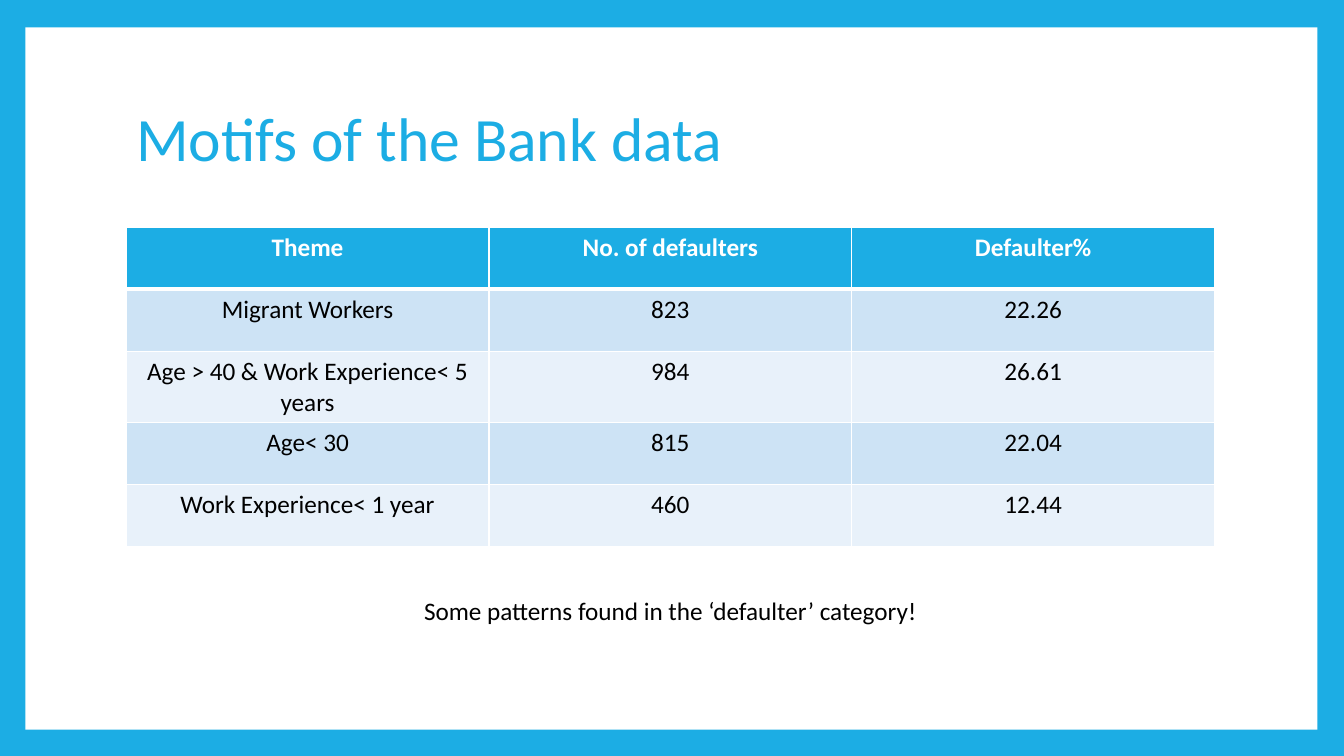
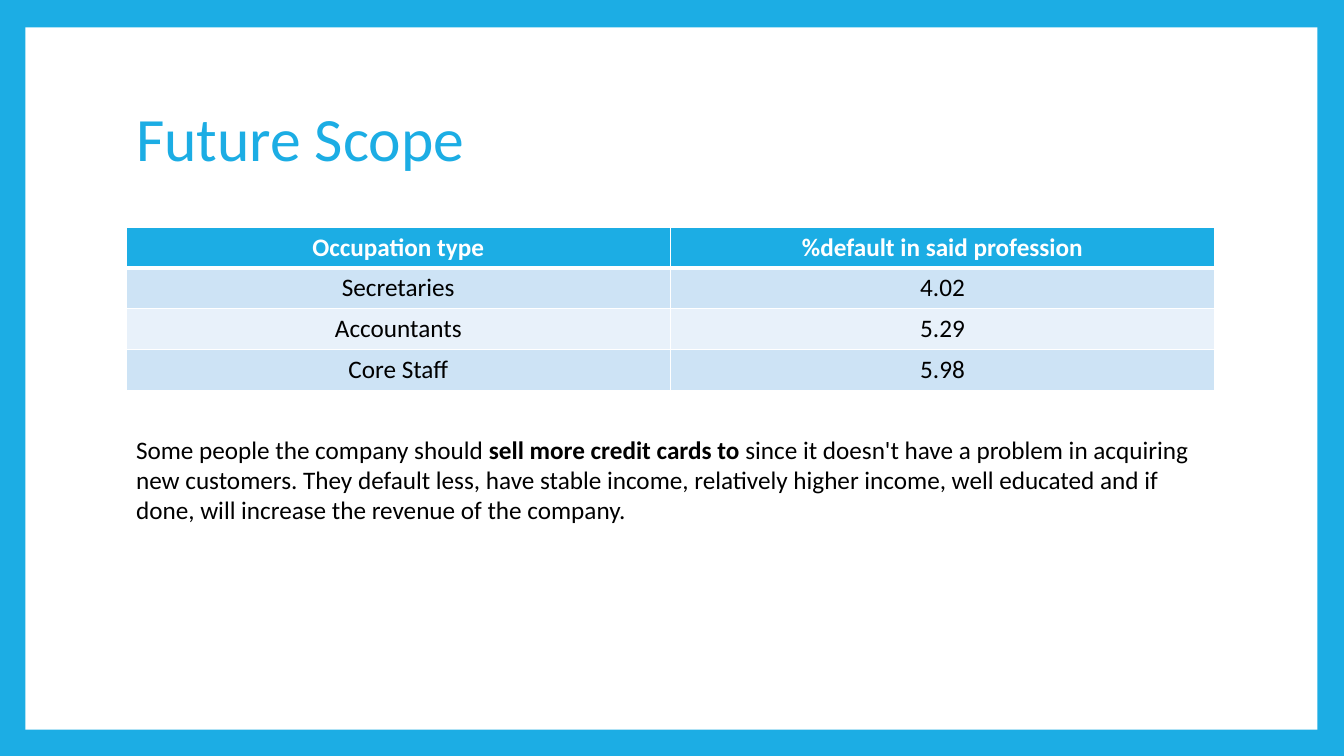
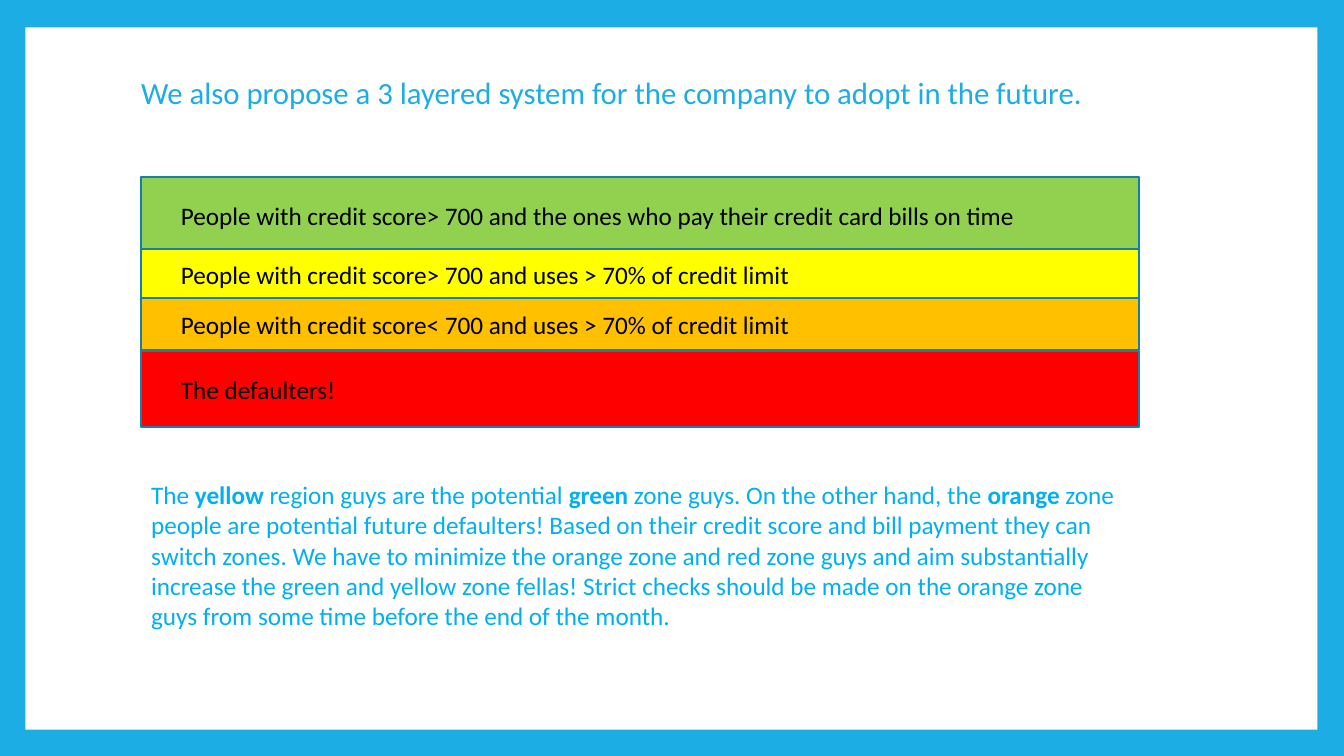
from dataclasses import dataclass

from lxml import etree
from pptx import Presentation
from pptx.dml.color import RGBColor
from pptx.enum.shapes import MSO_SHAPE
from pptx.enum.text import MSO_ANCHOR, PP_ALIGN
from pptx.oxml.ns import qn
from pptx.util import Cm, Pt

RECTANGLE = MSO_SHAPE.RECTANGLE
TOP, MIDDLE = MSO_ANCHOR.TOP, MSO_ANCHOR.MIDDLE
LEFT, CENTER = PP_ALIGN.LEFT, PP_ALIGN.CENTER
BLANK_LAYOUT = 6


@dataclass(frozen=True)
class Theme:
    font: str = "Calibri"
    accent: str = "1CADE4"
    paper: str = "FFFFFF"
    ink: str = "000000"
    bands: tuple = ("CDE3F5", "E8F1FA")
    layer_line: str = "1580A9"
    green: str = "92D050"
    yellow: str = "FFFF00"
    orange: str = "FFC000"
    red: str = "FF0000"
    zone_text: str = "00B0F0"
    title_size: int = 44
    lead_size: int = 22
    body_size: int = 18
    cell_line: int = 1
    header_line: int = 3
    layer_line_width: float = 1.5


@dataclass(frozen=True)
class Box:
    left: float
    top: float
    width: float
    height: float

    def lengths(self):
        return Cm(self.left), Cm(self.top), Cm(self.width), Cm(self.height)


THEME = Theme()
FRAME = Box(0.64, 0.69, 32.56, 17.7)
TITLE = Box(3.18, 1.7, 27.43, 3.76)


def write(text_frame, segments, size, color, alignment=LEFT, bold=False):
    """Write one paragraph; every second segment is emphasised."""
    paragraph = text_frame.paragraphs[0]
    paragraph.alignment = alignment
    for index, segment in enumerate(segments):
        run = paragraph.add_run()
        run.text = segment
        run.font.name = THEME.font
        run.font.size = Pt(size)
        run.font.bold = bold or index % 2 == 1
        run.font.color.rgb = RGBColor.from_string(color)
    return paragraph


def add_text(slide, box, segments, size=THEME.body_size, color=THEME.ink,
             alignment=LEFT, anchor=TOP):
    text_frame = slide.shapes.add_textbox(*box.lengths()).text_frame
    text_frame.word_wrap = True
    text_frame.vertical_anchor = anchor
    return write(text_frame, segments, size, color, alignment)


def add_rectangle(slide, box, fill):
    shape = slide.shapes.add_shape(RECTANGLE, *box.lengths())
    shape.shadow.inherit = False
    shape.fill.solid()
    shape.fill.fore_color.rgb = RGBColor.from_string(fill)
    return shape


def add_framed_slide(presentation):
    """Blue background with a white sheet inside."""
    slide = presentation.slides.add_slide(presentation.slide_layouts[BLANK_LAYOUT])
    background = slide.background.fill
    background.solid()
    background.fore_color.rgb = RGBColor.from_string(THEME.accent)
    add_rectangle(slide, FRAME, THEME.paper).line.fill.background()
    return slide


def set_cell_borders(cell, top, bottom):
    properties = cell._tc.get_or_add_tcPr()
    widths = {"a:lnL": THEME.cell_line, "a:lnR": THEME.cell_line,
              "a:lnT": top, "a:lnB": bottom}
    for index, (tag, width) in enumerate(widths.items()):
        line = etree.Element(qn(tag), w=str(Pt(width)))
        fill = etree.SubElement(line, qn("a:solidFill"))
        etree.SubElement(fill, qn("a:srgbClr"), val=THEME.paper)
        properties.insert(index, line)


def add_banded_table(slide, box, rows):
    """Equal columns and rows, a header row and alternating bands."""
    column_count = len(rows[0])
    table = slide.shapes.add_table(len(rows), column_count, *box.lengths()).table
    table.horz_banding = False
    for column in table.columns:
        column.width = Cm(box.width / column_count)
    for row_index, values in enumerate(rows):
        is_header = row_index == 0
        table.rows[row_index].height = Cm(box.height / len(rows))
        fill = THEME.accent if is_header else THEME.bands[(row_index - 1) % 2]
        top = THEME.header_line if row_index == 1 else THEME.cell_line
        bottom = THEME.header_line if is_header else THEME.cell_line
        for column_index, value in enumerate(values):
            cell = table.cell(row_index, column_index)
            cell.fill.solid()
            cell.fill.fore_color.rgb = RGBColor.from_string(fill)
            write(cell.text_frame, [value], THEME.body_size,
                  THEME.paper if is_header else THEME.ink, CENTER, is_header)
            set_cell_borders(cell, top, bottom)


def add_table_slide(presentation, title, rows, row_height, note, note_top,
                    note_alignment=LEFT):
    """Title, full-width table and a note below it."""
    slide = add_framed_slide(presentation)
    heading = add_text(slide, TITLE, [title], THEME.title_size, THEME.accent,
                       anchor=MIDDLE)
    heading.line_spacing = 0.9
    add_banded_table(
        slide, Box(TITLE.left, 5.72, TITLE.width, row_height * len(rows)), rows)
    add_text(slide, Box(TITLE.left, note_top, TITLE.width, 1.03), note,
             alignment=note_alignment)


def add_layers(slide, box, layers):
    """Coloured bars, each placed by its offset from the top of the box."""
    for offset, height, fill, label in layers:
        bar = add_rectangle(
            slide, Box(box.left, box.top + offset, box.width, height), fill)
        bar.line.color.rgb = RGBColor.from_string(THEME.layer_line)
        bar.line.width = Pt(THEME.layer_line_width)
        text_frame = bar.text_frame
        text_frame.word_wrap = True
        text_frame.vertical_anchor = MIDDLE
        text_frame.margin_left = Cm(1)
        write(text_frame, [label], THEME.body_size, THEME.ink)


def add_layer_slide(presentation, lead, layers, explanation):
    """Lead sentence, stacked layers and an explanation."""
    slide = add_framed_slide(presentation)
    stack = Box(3.56, 4.47, 25.15, 6.3)
    lead_box = Box(stack.left - 0.25, 1.85, TITLE.width, 1.2)
    add_text(slide, lead_box, [lead], THEME.lead_size,
             THEME.accent).line_spacing = 0.9
    add_layers(slide, stack, layers)
    add_text(slide, Box(stack.left, 11.96, stack.width, 4.11), explanation,
             color=THEME.zone_text)


def main():
    presentation = Presentation()
    presentation.slide_width = Cm(33.87)
    presentation.slide_height = Cm(19.05)

    # Patterns among defaulters
    add_table_slide(
        presentation, "Motifs of the Bank data",
        [("Theme", "No. of defaulters", "Defaulter%"),
         ("Migrant Workers", "823", "22.26"),
         ("Age > 40 & Work Experience< 5 years", "984", "26.61"),
         ("Age< 30", "815", "22.04"),
         ("Work Experience< 1 year", "460", "12.44")],
        1.57, ["Some patterns found in the ‘defaulter’ category!"], 14.88, CENTER)

    # Occupations to approach
    add_table_slide(
        presentation, "Future Scope",
        [("Occupation type", "%default in said profession"),
         ("Secretaries", "4.02"),
         ("Accountants", "5.29"),
         ("Core Staff", "5.98")],
        1.03,
        ["Some people the company should ", "sell more credit cards to",
         " since it doesn't have a problem in acquiring new customers. They "
         "default less, have stable income, relatively higher income, well "
         "educated and if done, will increase the revenue of the company."],
        10.82)

    # Layered system
    add_layer_slide(
        presentation,
        "We also propose a 3 layered system for the company to adopt in the future.",
        [(0, 1.93, THEME.green, "People with credit score> 700 and the ones who "
          "pay their credit card bills on time"),
         (1.8, 1.3, THEME.yellow,
          "People with credit score> 700 and uses > 70% of credit limit"),
         (3.05, 1.3, THEME.orange,
          "People with credit score< 700 and uses > 70% of credit limit"),
         (4.37, 1.93, THEME.red, "The defaulters!")],
        ["The ", "yellow", " region guys are the potential ", "green",
         " zone guys. On the other hand, the ", "orange",
         " zone people are potential future defaulters! Based on their credit "
         "score and bill payment they can switch zones. We have to minimize the "
         "orange zone and red zone guys and aim substantially increase the green "
         "and yellow zone fellas! Strict checks should be made on the orange "
         "zone guys from some time before the end of the month."])

    presentation.save("out.pptx")


if __name__ == "__main__":
    main()
